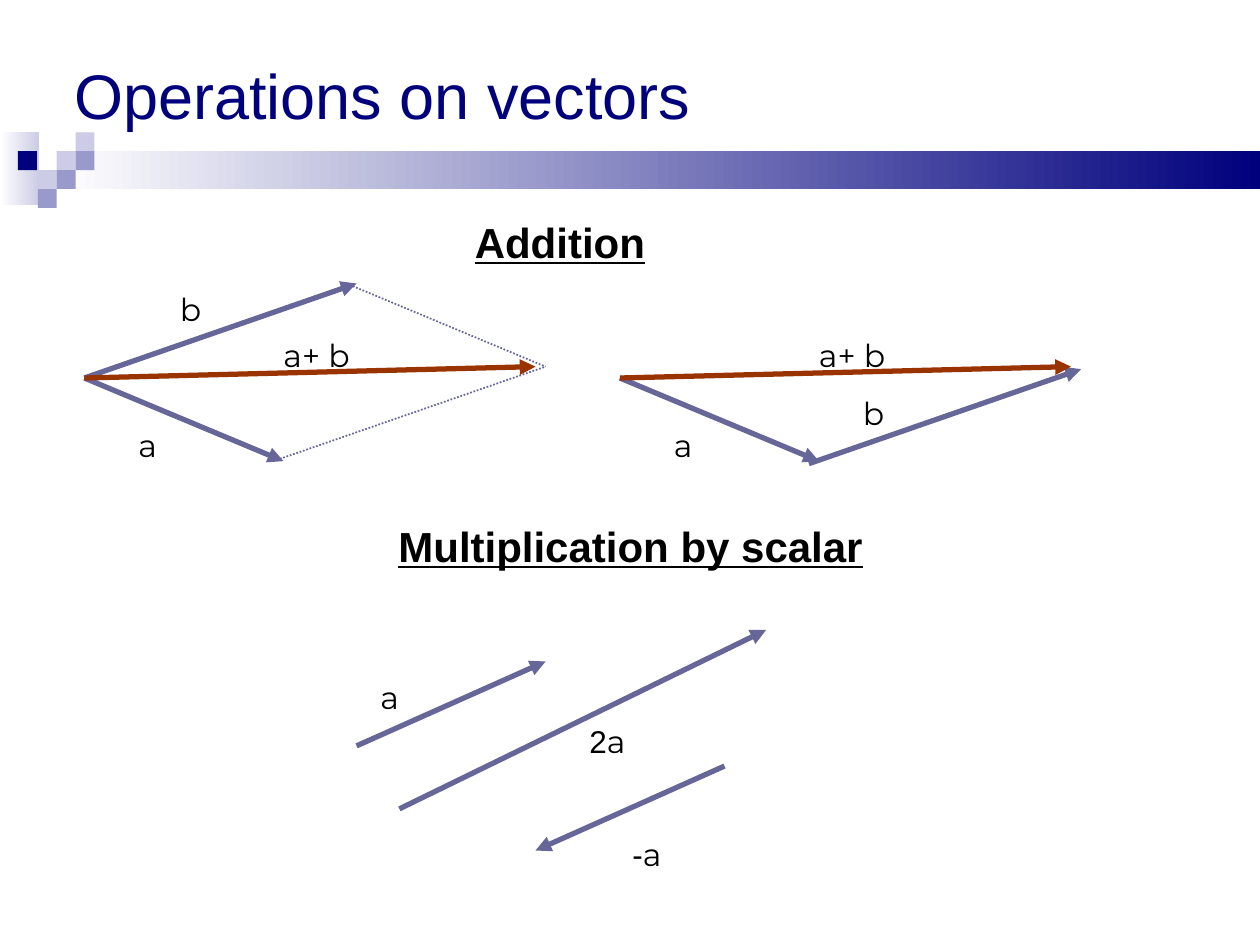
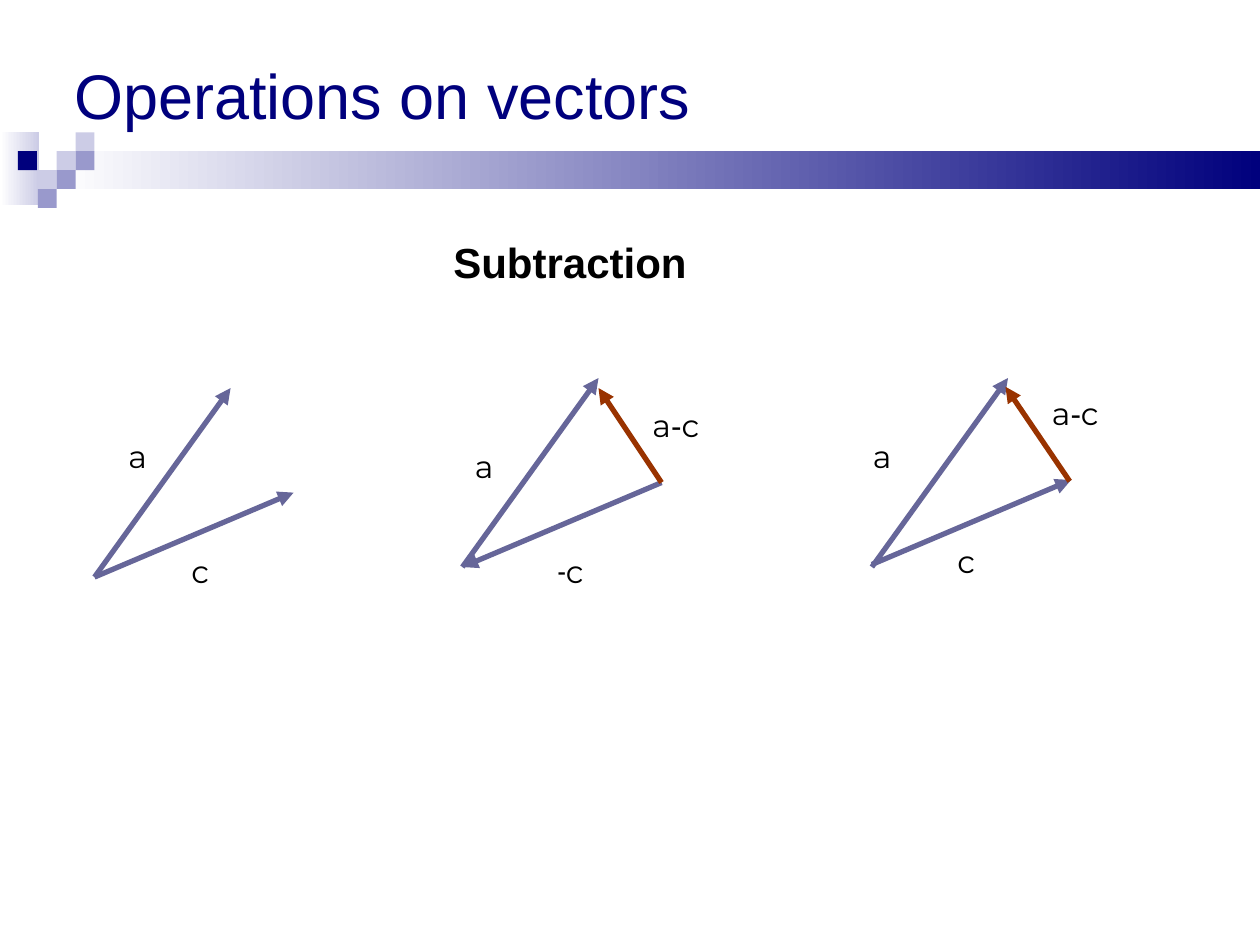
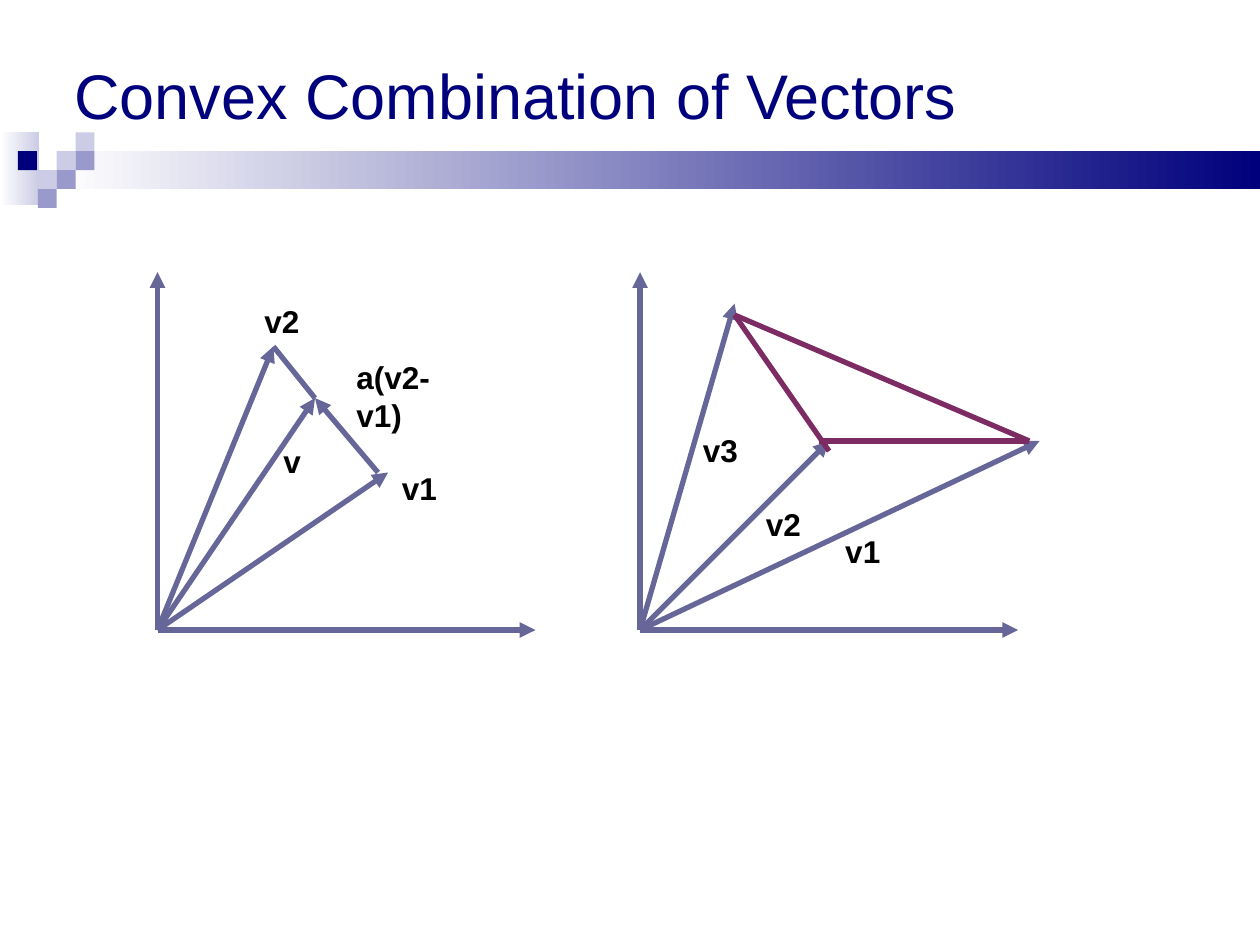
from collections import namedtuple

from lxml.etree import SubElement
from pptx import Presentation
from pptx.dml.color import RGBColor
from pptx.enum.dml import MSO_LINE_DASH_STYLE as Dash
from pptx.enum.shapes import MSO_CONNECTOR_TYPE as Connector, MSO_SHAPE as Shape
from pptx.enum.text import MSO_ANCHOR as Anchor, PP_ALIGN as Align
from pptx.oxml.ns import qn
from pptx.util import Inches, Pt

COLORS = {
    "navy": "00007D",
    "lilac": "9999CC",
    "pale": "CCCCE6",
    "white": "FFFFFF",
    "black": "000000",
    "vector": "666699",
    "result": "993300",
    "hull": "7C2C63",
}
TILE = 0.15
SYMBOL = "Montserrat"
PLAIN = "Arial"
HEADING = {"size": Pt(24), "bold": True}
UNDERLINED = {**HEADING, "underline": True}
BOLD_LABEL = {"bold": True}

Box = namedtuple("Box", "left top width height")


def rgb(name):
    return RGBColor.from_string(COLORS[name])


def add_text(slide, box, runs, font=None, inset=(0.1, 0.05), color="black",
             wrap=True, anchor=Anchor.TOP, align=Align.LEFT, before=0):
    shape = slide.shapes.add_textbox(*map(Inches, box))
    frame = shape.text_frame
    horizontal, vertical = map(Inches, inset)
    settings = {
        "margin_left": horizontal, "margin_right": horizontal,
        "margin_top": vertical, "margin_bottom": vertical,
        "word_wrap": wrap, "vertical_anchor": anchor,
    }
    for name, value in settings.items():
        setattr(frame, name, value)
    paragraph = frame.paragraphs[0]
    paragraph.alignment = align
    paragraph.space_before = Pt(before)
    for text, typeface in runs:
        run = paragraph.add_run()
        run.text = text
        run.font.color.rgb = rgb(color)
        for name, value in {"name": typeface, "size": Pt(18), **(font or {})}.items():
            setattr(run.font, name, value)


def add_label(slide, box, offset, runs, width=0.75, **options):
    if isinstance(runs, str):
        runs = [(runs, SYMBOL)]
    place = Box(box.left + offset[0], box.top + offset[1], width, 0.4)
    add_text(slide, place, runs, **{"before": 11.2, **options})


def add_bold_label(slide, box, offset, text, width=0.48):
    add_label(slide, box, offset, [(text, PLAIN)], width,
              font=BOLD_LABEL, wrap=False, before=0)


def add_line(slide, box, start, end, color="vector", width=3, dash=None, arrow=True):
    points = [Inches(origin + offset) for point in (start, end)
              for origin, offset in zip(box[:2], point)]
    connector = slide.shapes.add_connector(Connector.STRAIGHT, *points)
    connector.line.color.rgb = rgb(color)
    connector.line.width = Pt(width)
    if dash:
        connector.line.dash_style = dash
    properties = connector.element.spPr
    if arrow:
        SubElement(properties.find(qn("a:ln")), qn("a:tailEnd"), type="triangle")
    SubElement(properties, qn("a:effectLst"))


def add_block(slide, box, color, fade=False):
    shape = slide.shapes.add_shape(Shape.RECTANGLE, *map(Inches, box))
    shape.shadow.inherit = False
    shape.line.fill.background()
    if fade:
        shape.fill.gradient()
        shape.fill.gradient_angle = 0
        for stop, position, name in zip(shape.fill.gradient_stops, (0, 1), ("white", color)):
            stop.position = position
            stop.color.rgb = rgb(name)
    else:
        shape.fill.solid()
        shape.fill.fore_color.rgb = rgb(color)


def add_band(slide, box):
    add_block(slide, Box(box.left, box.top, 0.31, 0.58), "pale", fade=True)
    add_block(slide, Box(box.left + 0.45, box.top + TILE, box.width - 0.45, 0.3),
              "navy", fade=True)
    tiles = [(3, 1, "pale"), (4, 0, "pale"), (4, 1, "lilac"), (2, 2, "pale"),
             (0.95, 1, "navy"), (3, 2, "lilac"), (2, 3, "lilac")]
    for column, row, color in tiles:
        add_block(slide, Box(box.left + column * TILE, box.top + row * TILE, TILE, TILE), color)


def add_titled_slide(presentation, title):
    slide = presentation.slides.add_slide(presentation.slide_layouts[6])
    add_band(slide, Box(0, 1.05, 10, 0.6))
    add_text(slide, Box(0.49, 0, 9, 1.5), [(title, PLAIN)], {"size": Pt(36)},
             color="navy", anchor=Anchor.MIDDLE)
    return slide


def add_heading(slide, box, text, font=HEADING, align=Align.LEFT):
    add_text(slide, box, [(text, PLAIN)], font, align=align, before=15)


def add_sum(slide, box):
    add_line(slide, box, (0, 0.75), (1.58, 1.41))
    add_line(slide, box, (0, 0.75), (3.58, 0.66), "result")
    add_label(slide, box, (0.33, 1.08), "a", 0.33)
    add_label(slide, box, (1.58, 0.42), "a+ b", 0.67, inset=(0, 0))


def add_parallelogram(slide, box):
    corner = (3.66, 0.66)
    add_line(slide, box, (0, 0.75), (2.16, 0))
    for start in ((2.08, 0), (1.5, 1.41)):
        add_line(slide, box, start, corner, width=1, dash=Dash.ROUND_DOT, arrow=False)
    add_sum(slide, box)
    add_label(slide, box, (0.66, 0), "b", 0.33)


def add_head_to_tail(slide, box):
    add_line(slide, box, (1.5, 1.43), (3.66, 0.68))
    add_sum(slide, box)
    add_label(slide, box, (1.83, 0.83), "b", 0.33)


def add_multiples(slide, box):
    for start, end in [((0, 0.92), (1.5, 0.25)),
                       ((0.34, 1.42), (3.25, 0)),
                       ((2.92, 1.08), (1.42, 1.75))]:
        add_line(slide, box, start, end)
    for offset, factor in [((0.09, 0.33), ""), ((1.75, 0.68), "2"), ((2.09, 1.58), "-")]:
        runs = [(factor, PLAIN)] if factor else []
        add_label(slide, box, offset, runs + [("a", SYMBOL)])


def add_difference(slide, box, second, result, labels):
    add_line(slide, box, (0, 1.5), (1.08, 0))
    add_line(slide, box, *second)
    if result:
        add_line(slide, box, *result, "result")
    for offset, runs in labels:
        add_label(slide, box, offset, runs)


def add_axes(slide, box):
    origin = (0, box.height)
    for end in ((0, 0), (box.width, box.height)):
        add_line(slide, box, origin, end)


def add_segment_combination(slide, box):
    add_axes(slide, box)
    middle = (1.25, 1)
    for end in ((0.92, 0.59), (1.83, 1.59)):
        add_line(slide, box, (0, box.height), end)
    add_line(slide, box, (0.92, 0.59), middle, arrow=False)
    add_line(slide, box, (1.75, 1.59), middle)
    add_line(slide, box, (0, box.height), middle)
    add_bold_label(slide, box, (1.84, 1.51), "v1")
    add_bold_label(slide, box, (0.75, 0.19), "v2")
    add_bold_label(slide, box, (0.9, 1.3), "v", 0.34)
    add_bold_label(slide, box, (1.48, 0.63), "a(v2-v1)", 1.14)


def add_triangle_combination(slide, box):
    add_axes(slide, box)
    for end in ((0.75, 0.25), (3.17, 1.34), (1.5, 1.34)):
        add_line(slide, box, (0, box.height), end)
    for start, end in [((0.75, 0.34), (1.5, 1.42)),
                       ((0.75, 0.34), (3.09, 1.34)),
                       ((1.42, 1.34), (3.09, 1.34))]:
        add_line(slide, box, start, end, "hull", arrow=False)
    for offset, text in [((1.53, 2.01), "v1"), ((0.9, 1.8), "v2"), ((0.4, 1.21), "v3")]:
        add_bold_label(slide, box, offset, text)


def build_addition(presentation):
    slide = add_titled_slide(presentation, "Operations on vectors")
    add_heading(slide, Box(3.67, 1.67, 2.17, 0.5), "Addition", UNDERLINED)
    add_parallelogram(slide, Box(0.67, 2.25, 3.66, 1.48))
    add_head_to_tail(slide, Box(4.92, 2.25, 3.66, 1.48))
    add_heading(slide, Box(2.92, 4.08, 4.17, 0.5), "Multiplication by scalar",
                UNDERLINED, Align.CENTER)
    add_multiples(slide, Box(2.83, 5, 3.25, 1.98))


def build_subtraction(presentation):
    slide = add_titled_slide(presentation, "Operations on vectors")
    add_heading(slide, Box(3.5, 1.83, 3.17, 0.5), "Subtraction")
    difference = [("a", SYMBOL), ("-", PLAIN), ("c", SYMBOL)]
    negative = [("-", "Roboto Condensed"), ("c", SYMBOL)]
    add_difference(slide, Box(0.75, 3.08, 1.58, 1.5), ((0, 1.5), (1.58, 0.83)), None,
                   [((0.17, 0.34), "a"), ((0.67, 1.25), "c")])
    add_difference(slide, Box(3.67, 3, 1.58, 1.5), ((1.58, 0.83), (0, 1.5)),
                   ((1.58, 0.83), (1.08, 0.08)),
                   [((0, 0.5), "a"), ((0.66, 1.33), negative), ((1.41, 0.17), difference)])
    add_difference(slide, Box(6.92, 3, 1.58, 1.5), ((0, 1.48), (1.58, 0.81)),
                   ((1.57, 0.82), (1.06, 0.07)),
                   [((-0.09, 0.42), "a"), ((0.58, 1.25), "c"), ((1.33, 0.08), difference)])


def build_convex_combination(presentation):
    slide = add_titled_slide(presentation, "Convex Combination of Vectors")
    add_segment_combination(slide, Box(1.25, 2.16, 3, 2.84))
    add_triangle_combination(slide, Box(5.08, 2.16, 3, 2.84))


def main():
    presentation = Presentation()
    presentation.slide_width = Inches(10)
    presentation.slide_height = Inches(7.5)
    for build in (build_addition, build_subtraction, build_convex_combination):
        build(presentation)
    presentation.save("out.pptx")


if __name__ == "__main__":
    main()
